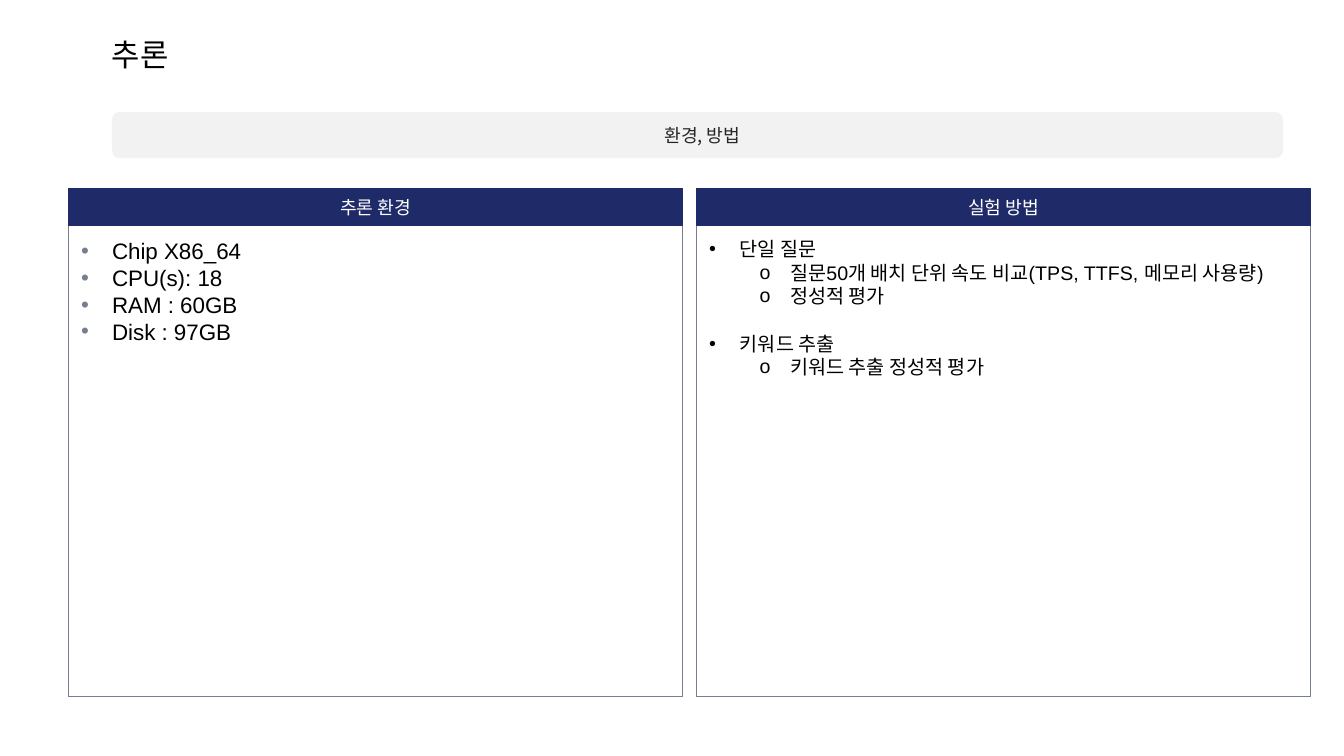
from lxml.etree import SubElement
from pptx import Presentation
from pptx.dml.color import RGBColor
from pptx.enum.shapes import MSO_SHAPE as Shape
from pptx.enum.text import MSO_ANCHOR as Anchor, PP_ALIGN as Align
from pptx.oxml.ns import qn
from pptx.util import Pt

BLACK = RGBColor(0x00, 0x00, 0x00)
WHITE = RGBColor(0xFF, 0xFF, 0xFF)
INK = RGBColor(0x26, 0x26, 0x26)
PALE = RGBColor(0xF2, 0xF2, 0xF2)
NAVY = RGBColor(0x1F, 0x2A, 0x68)
SLATE = RGBColor(0x75, 0x7D, 0x92)
KOREAN = "Noto Sans CJK KR"
LATIN = "Arial"
HANGING = 22
LEVEL_STEP = 36
HEADER_HEIGHT = 26.5

ENVIRONMENT = [
    (0, "Chip X86_64"),
    (0, "CPU(s): 18"),
    (0, "RAM : 60GB"),
    (0, "Disk : 97GB"),
]
METHOD = [
    (0, "단일 질문"),
    (1, "질문50개 배치 단위 속도 비교(TPS, TTFS, 메모리 사용량)"),
    (1, "정성적 평가"),
    (0, "키워드 추출"),
    (1, "키워드 추출 정성적 평가"),
]


def set_font(paragraph, name, size, color):
    """Format a whole paragraph, including its Korean characters."""
    paragraph.font.name = name
    paragraph.font.size = Pt(size)
    paragraph.font.color.rgb = color
    defaults = paragraph._p.pPr.find(qn("a:defRPr"))
    SubElement(defaults, qn("a:ea"), typeface=KOREAN)


def set_frame(frame, anchor, left=0, top=0):
    """Set the anchor and the insets of a text frame."""
    frame.word_wrap = True
    frame.vertical_anchor = anchor
    frame.margin_left, frame.margin_top = Pt(left), Pt(top)
    frame.margin_right = frame.margin_bottom = 0


def add_box(slide, kind, box, fill, line=None):
    """Add a flat filled shape, outlined when a line colour is given."""
    shape = slide.shapes.add_shape(kind, *map(Pt, box))
    shape.shadow.inherit = False
    shape.fill.solid()
    shape.fill.fore_color.rgb = fill
    if line is None:
        shape.line.fill.background()
    else:
        shape.line.color.rgb = line
        shape.line.width = Pt(0.75)
    return shape


def write_centred(shape, text, color, left_inset=0):
    """Write one centred line in a shape."""
    set_frame(shape.text_frame, Anchor.MIDDLE, left_inset)
    paragraph = shape.text_frame.paragraphs[0]
    paragraph.text = text
    paragraph.alignment = Align.CENTER
    set_font(paragraph, KOREAN, 13, color)


def add_bullet(paragraph, level, color):
    """Give a paragraph the bullet and indent of its level."""
    paragraph.level = level
    properties = paragraph._p.get_or_add_pPr()
    properties.set("marL", str(Pt(HANGING + level * LEVEL_STEP)))
    properties.set("indent", str(Pt(-HANGING)))
    bullet_color = SubElement(properties, qn("a:buClr"))
    SubElement(bullet_color, qn("a:srgbClr"), val=str(color))
    SubElement(properties, qn("a:buFont"), typeface=LATIN)
    SubElement(properties, qn("a:buChar"), char="•o"[level])


def add_title(slide, box, text):
    """Place and format the slide title."""
    title = slide.shapes.title
    title.left, title.top, title.width, title.height = map(Pt, box)
    set_frame(title.text_frame, Anchor.TOP)
    paragraph = title.text_frame.paragraphs[0]
    paragraph.text = text
    paragraph.alignment = Align.LEFT
    set_font(paragraph, KOREAN, 22, BLACK)


def add_banner(slide, box, text):
    """Add the rounded band that names the topic."""
    banner = add_box(slide, Shape.ROUNDED_RECTANGLE, box, PALE)
    write_centred(banner, text, INK, left_inset=7)


def add_panel(slide, box, heading, items, size, bullet_color):
    """Add an outlined panel with a heading bar and a bulleted list."""
    left, top, width, height = box
    body_box = (left, top + HEADER_HEIGHT, width, height - HEADER_HEIGHT)
    body = add_box(slide, Shape.RECTANGLE, body_box, WHITE, SLATE)
    frame = body.text_frame
    set_frame(frame, Anchor.TOP, 9, 8.5)
    for index, (level, text) in enumerate(items):
        paragraph = frame.paragraphs[0] if index == 0 else frame.add_paragraph()
        paragraph.text = text
        paragraph.alignment = Align.LEFT
        if index and level < items[index - 1][0]:
            paragraph.space_before = Pt(17)
        add_bullet(paragraph, level, bullet_color)
        set_font(paragraph, LATIN, size, BLACK)
    header_box = (left, top, width, HEADER_HEIGHT)
    header = add_box(slide, Shape.RECTANGLE, header_box, NAVY, NAVY)
    write_centred(header, heading, WHITE)


def main():
    """Build the inference slide."""
    presentation = Presentation()
    presentation.slide_width, presentation.slide_height = Pt(960), Pt(540)
    slide = presentation.slides.add_slide(presentation.slide_layouts[5])
    add_title(slide, (80, 25.5, 490, 53), "추론")
    add_banner(slide, (80, 80, 836.5, 33), "환경, 방법")
    panels = [
        ("추론 환경", ENVIRONMENT, 16, SLATE),
        ("실험 방법", METHOD, 14, BLACK),
    ]
    left, width, gap = 49, 438.5, 10
    for column, panel in enumerate(panels):
        box = (left + column * (width + gap), 134.5, width, 363)
        add_panel(slide, box, *panel)
    presentation.save("out.pptx")


if __name__ == "__main__":
    main()
